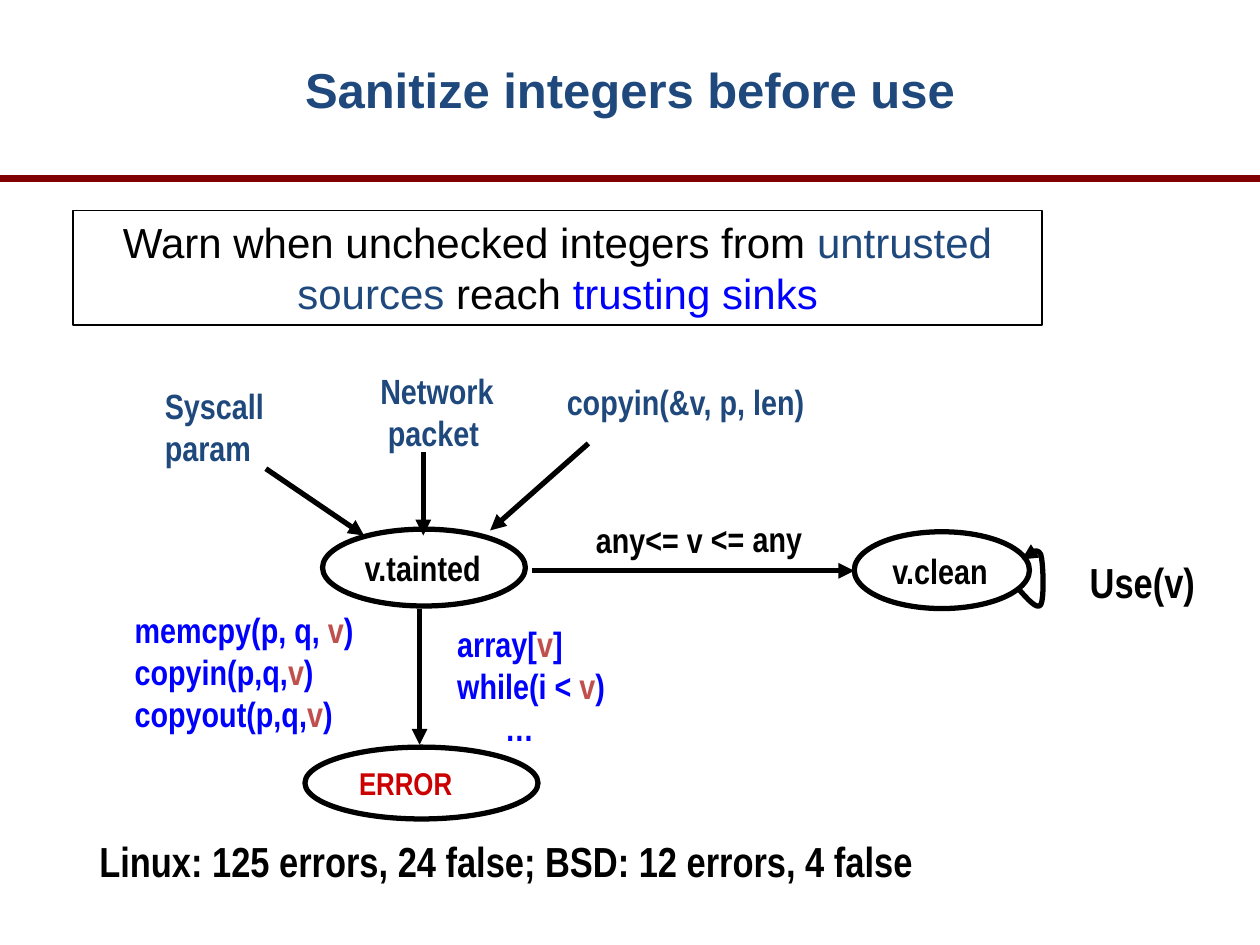
from lxml.etree import SubElement
from pptx import Presentation
from pptx.dml.color import RGBColor
from pptx.enum.shapes import MSO_CONNECTOR, MSO_SHAPE
from pptx.enum.text import MSO_ANCHOR, PP_ALIGN
from pptx.oxml.ns import qn
from pptx.util import Inches, Pt

COLORS = {"black": "000000", "navy": "1F497D", "blue": "0000FF",
          "brick": "C0504D", "red": "CC0000", "maroon": "800000"}
NARROW = "Arial Narrow"


def write(shape, lines, size=20, font=NARROW, bold=True, align=PP_ALIGN.LEFT,
          anchor=MSO_ANCHOR.TOP, wrap=True):
    """Fill a shape with lines, each a left indent and its (text, color) runs."""
    frame = shape.text_frame
    frame.word_wrap = wrap
    frame.vertical_anchor = anchor
    for number, (indent, runs) in enumerate(lines):
        para = frame.paragraphs[0] if number == 0 else frame.add_paragraph()
        para.alignment = align
        if indent:
            para._p.get_or_add_pPr().set("marL", str(Inches(indent)))
        for text, color in runs:
            span = para.add_run()
            span.text = text
            span.font.size = Pt(size)
            span.font.name = font
            span.font.bold = bold
            span.font.color.rgb = RGBColor.from_string(COLORS[color])


def stroke(shape, width=3, color="black", arrow=False):
    """Outline a shape or connector, without shadow, with an optional arrowhead."""
    shape.line.width = Pt(width)
    shape.line.color.rgb = RGBColor.from_string(COLORS[color])
    if arrow:
        SubElement(shape.line._get_or_add_ln(), qn("a:tailEnd"), type="triangle")
    SubElement(shape._element.spPr, qn("a:effectLst"))


deck = Presentation()
deck.slide_width, deck.slide_height = Inches(10), Inches(7.5)
page = deck.slides.add_slide(deck.slide_layouts[6])
shapes = page.shapes

rule = shapes.add_connector(MSO_CONNECTOR.STRAIGHT, 0, Inches(1.42), Inches(10), Inches(1.42))
stroke(rule, 4, "maroon")

title = shapes.add_textbox(Inches(0.75), Inches(0.08), Inches(8.5), Inches(1.25))
write(title, [(0, [("Sanitize integers before use", "navy")])], 28, "Arial",
      align=PP_ALIGN.CENTER, anchor=MSO_ANCHOR.MIDDLE)

summary = shapes.add_shape(MSO_SHAPE.RECTANGLE, Inches(0.58), Inches(1.67),
                           Inches(7.69), Inches(0.91))
summary.fill.background()
stroke(summary, 0.75)
write(summary, [(0, [("Warn when unchecked integers from ", "black"),
                     ("untrusted sources", "navy"), (" reach ", "black"),
                     ("trusting sinks", "blue")])],
      24, "Arial", False, PP_ALIGN.CENTER)

# States: left, top, width, height, label, size, color, indent
for left, top, width, height, label, size, color, indent in [
    (2.56, 4.2, 1.61, 0.61, "v.tainted", 20, "black", 0),
    (6.78, 4.22, 1.39, 0.61, "v.clean", 20, "black", 0),
    (2.42, 5.93, 1.85, 0.57, "ERROR", 18, "red", 0.06),
]:
    state = shapes.add_shape(MSO_SHAPE.OVAL, Inches(left), Inches(top),
                             Inches(width), Inches(height))
    state.fill.background()
    stroke(state)
    write(state, [(indent, [(label, color)])], size, anchor=MSO_ANCHOR.MIDDLE)

# Transitions: from x, y to x, y
for ends in [
    (2.11, 3.72, 2.89, 4.25),
    (3.36, 3.59, 3.36, 4.25),
    (4.67, 3.52, 3.89, 4.21),
    (4.22, 4.53, 6.78, 4.53),
    (3.33, 4.83, 3.33, 5.91),
]:
    arrow = shapes.add_connector(MSO_CONNECTOR.STRAIGHT, *[Inches(end) for end in ends])
    stroke(arrow, arrow=True)

# Self loop on v.clean, traced along three Bezier curves
loop_curves = [
    [(8.08, 4.67), (8.16, 4.76), (8.23, 4.84), (8.26, 4.8)],
    [(8.26, 4.8), (8.29, 4.75), (8.28, 4.46), (8.26, 4.4)],
    [(8.26, 4.4), (8.23, 4.34), (8.17, 4.39), (8.11, 4.44)],
]
STEPS = 8
points = []
for curve in loop_curves:
    for step in range(1, STEPS + 1):
        t = step / STEPS
        weights = ((1 - t) ** 3, 3 * t * (1 - t) ** 2, 3 * t ** 2 * (1 - t), t ** 3)
        points.append(tuple(Inches(sum(w * knot[axis] for w, knot in zip(weights, curve)))
                            for axis in (0, 1)))
builder = shapes.build_freeform(Inches(8.08), Inches(4.67))
builder.add_line_segments(points, close=False)
loop = builder.convert_to_shape()
loop.fill.background()
stroke(loop, arrow=True)

# Labels: left, top, width, height, size, lines
for left, top, width, height, size, lines in [
    (1.21, 3, 1.06, 0.77, 20, [(0, [("Syscall", "navy")]), (0, [("param", "navy")])]),
    (2.92, 2.88, 1.17, 0.77, 20, [(0, [("Network", "navy")]), (0.06, [("packet", "navy")])]),
    (4.4, 2.97, 2.1, 0.43, 20, [(0, [("copyin(&v, p, len)", "navy")])]),
    (8.55, 4.37, 1.05, 0.5, 24, [(0, [("Use(v)", "black")])]),
    (0.97, 4.78, 1.95, 1.11, 20,
     [(0, [(call, "blue"), ("v", "brick"), (")", "blue")])
      for call in ("memcpy(p, q, ", "copyin(p,q,", "copyout(p,q,")]),
    (3.53, 4.89, 1.38, 1.11, 20,
     [(0, [("array[", "blue"), ("v", "brick"), ("]", "blue")]),
      (0, [("while(i < ", "blue"), ("v", "brick"), (")", "blue")]),
      (0.38, [("…", "blue")])]),
]:
    box = shapes.add_textbox(Inches(left), Inches(top), Inches(width), Inches(height))
    write(box, lines, size, wrap=False)

check = shapes.add_textbox(Inches(4.57), Inches(4.06), Inches(2.1), Inches(0.43))
check.rotation = 359.6
write(check, [(0.06, [("any<= v <= any", "black")])])

results = shapes.add_textbox(Inches(0.44), Inches(6.58), Inches(8.89), Inches(0.51))
write(results, [(0.25, [("Linux: 125 errors, 24 false; BSD: 12 errors, 4 false", "black")])], 24)

deck.save("out.pptx")
